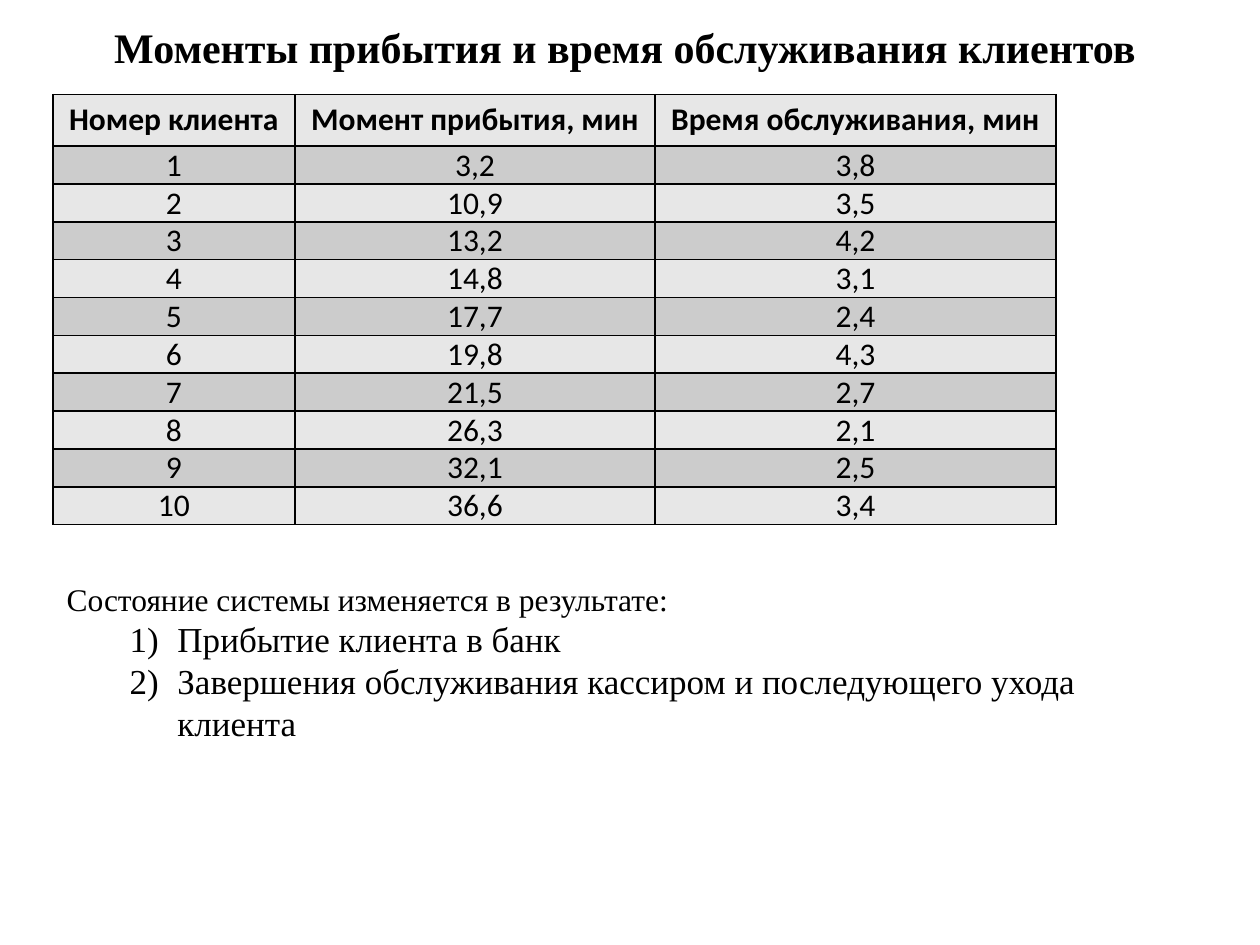
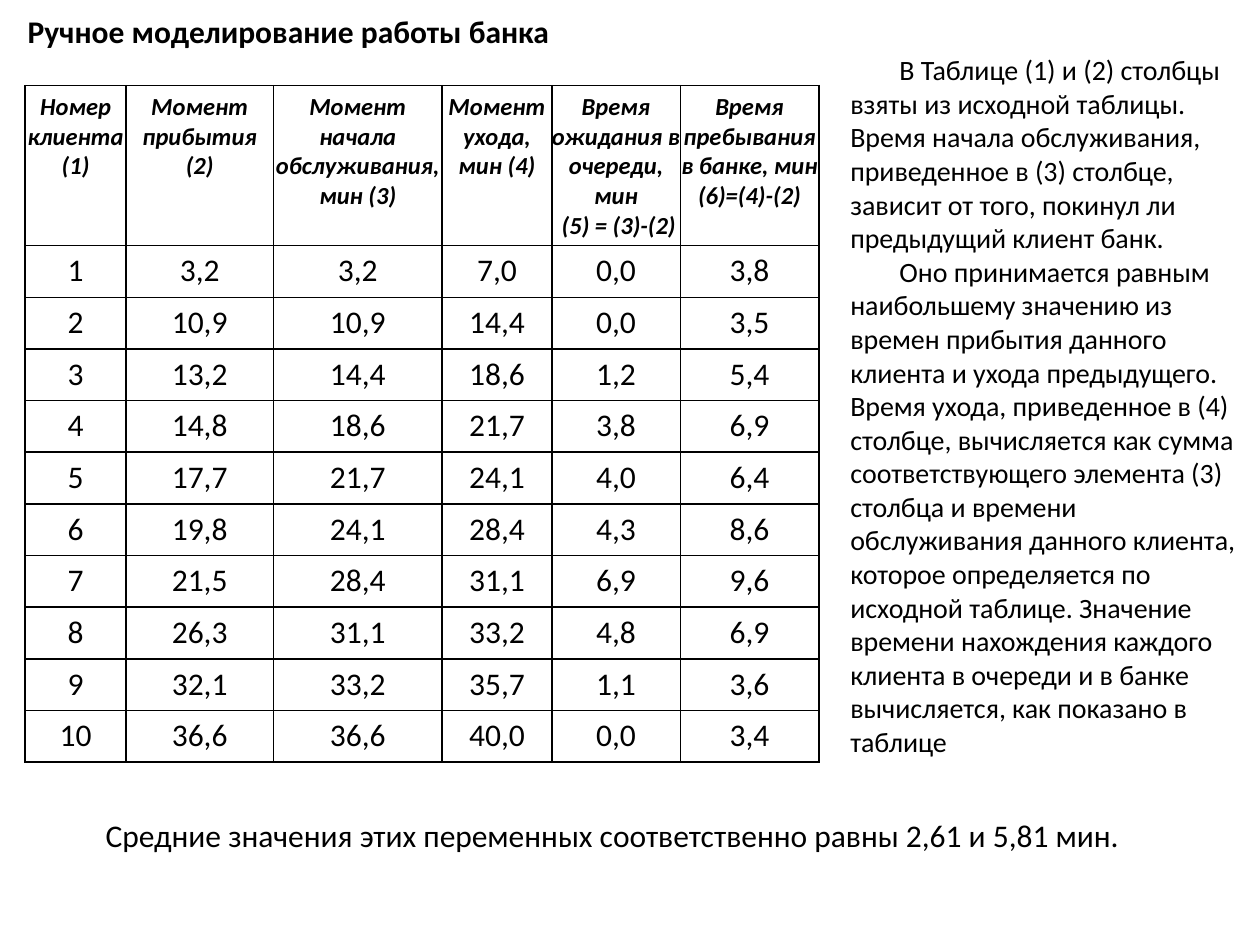
from lxml.etree import SubElement
from pptx import Presentation
from pptx.dml.color import RGBColor
from pptx.enum.text import MSO_AUTO_SIZE, PP_ALIGN
from pptx.oxml.ns import qn
from pptx.util import Inches, Pt

BLACK = RGBColor(0x00, 0x00, 0x00)
LIGHT = RGBColor(0xE7, 0xE7, 0xE7)
DARK = RGBColor(0xCC, 0xCC, 0xCC)
SERIF, SANS = "Times New Roman", "Calibri"
FIRST_LINE = 0.39

ARRIVALS = [3.2, 10.9, 13.2, 14.8, 17.7, 19.8, 21.5, 26.3, 32.1, 36.6]
SERVICES = [3.8, 3.5, 4.2, 3.1, 2.4, 4.3, 2.7, 2.1, 2.5, 3.4]

SOURCE_HEADER = ["Номер клиента", "Момент прибытия, мин", "Время обслуживания, мин"]
MODEL_HEADER = [
    "Номер клиента\n(1)",
    "Момент прибытия (2)",
    "Момент начала обслуживания, мин (3)",
    "Момент ухода, мин (4)",
    "Время ожидания в очереди, мин\v (5) = (3)-(2)",
    "Время пребывания в банке, мин (6)=(4)-(2)",
]
EVENTS = [
    "Прибытие клиента в банк",
    "Завершения обслуживания кассиром и последующего ухода клиента",
]
EXPLANATION = [
    "В Таблице (1) и (2) столбцы взяты из исходной таблицы. Время начала обслуживания, "
    "приведенное в (3) столбце, зависит от того, покинул ли предыдущий клиент банк.",
    "Оно принимается равным наибольшему значению из времен прибытия данного клиента и ухода "
    "предыдущего. Время ухода, приведенное в (4) столбце, вычисляется как сумма "
    "соответствующего элемента (3) столбца и времени обслуживания данного клиента, которое "
    "определяется по исходной таблице. Значение времени нахождения каждого клиента в очереди "
    "и в банке вычисляется, как показано в таблице",
]


def decimal_comma(value):
    return f"{value:.1f}".replace(".", ",")


def numbered(rows):
    return [[str(n), *map(decimal_comma, row)] for n, row in enumerate(rows, 1)]


def simulate_queue():
    """Rows of arrival, start, departure, wait and stay for each client."""
    rows, departure = [], 0
    for arrival, service in zip(ARRIVALS, SERVICES):
        start = max(arrival, departure)
        departure = start + service
        rows.append([arrival, start, departure, start - arrival, departure - arrival])
    return rows


def style(p, font, size, bold=False, italic=False, align=PP_ALIGN.LEFT):
    p.alignment = align
    f = p.font
    f.name, f.size, f.bold, f.italic = font, Pt(size), bold, italic
    f.color.rgb = BLACK


def indent(p, first, left=0):
    pPr = p._p.get_or_add_pPr()
    pPr.set("marL", str(Inches(left)))
    pPr.set("indent", str(Inches(first)))


def number(p):
    p.level = 1
    indent(p, -0.38, 0.88)
    bullet = p._p.get_or_add_pPr().makeelement(qn("a:buAutoNum"), {"type": "arabicParenR"})
    p._p.pPr.insert(0, bullet)


def add_text(slide, box, lines, font, size, wrap=True, **look):
    """Text box with one paragraph per line; returns the paragraphs."""
    tf = slide.shapes.add_textbox(*map(Inches, box)).text_frame
    tf.word_wrap = wrap
    tf.auto_size = MSO_AUTO_SIZE.SHAPE_TO_FIT_TEXT
    tf.text = "\n".join(lines)
    for p in tf.paragraphs:
        style(p, font, size, **look)
    return tf.paragraphs


def add_borders(cell):
    tcPr = cell._tc.get_or_add_tcPr()
    for side in ("lnL", "lnR", "lnT", "lnB"):
        ln = SubElement(tcPr, qn(f"a:{side}"), w=str(Pt(1)))
        fill = SubElement(ln, qn("a:solidFill"))
        SubElement(fill, qn("a:srgbClr"), val=str(BLACK))


def set_margins(cell, side, top):
    cell.margin_left = cell.margin_right = Inches(side)
    cell.margin_top = cell.margin_bottom = Inches(top)


def add_grid(slide, left, top, widths, header, rows, heights, margins, header_look, bands=()):
    """Bordered table; heights and margins are pairs for the header and the body."""
    values = [header] + rows
    row_heights = [heights[0]] + [heights[1]] * len(rows)
    table = slide.shapes.add_table(
        len(values), len(widths), Inches(left), Inches(top),
        Inches(sum(widths)), Inches(sum(row_heights))).table
    table.first_row = table.horz_banding = False
    for column, width in zip(table.columns, widths):
        column.width = Inches(width)
    for i, (row, height) in enumerate(zip(values, row_heights)):
        table.rows[i].height = Inches(height)
        look = header_look if i == 0 else {"size": 18}
        for cell, text in zip(table.rows[i].cells, row):
            cell.text_frame.text = text
            for p in cell.text_frame.paragraphs:
                style(p, SANS, align=PP_ALIGN.CENTER, **look)
            set_margins(cell, *margins[min(i, 1)])
            add_borders(cell)
            if bands:
                cell.fill.solid()
                cell.fill.fore_color.rgb = bands[i % len(bands)]
            else:
                cell.fill.background()


def source_data_slide(slide):
    add_text(slide, (0.67, 0.12, 8.58, 0.5),
             ["Моменты прибытия и время обслуживания клиентов"],
             SERIF, 24, bold=True, align=PP_ALIGN.CENTER)
    add_grid(slide, 0.42, 0.75, [1.92, 2.86, 3.18], SOURCE_HEADER,
             numbered(zip(ARRIVALS, SERVICES)), heights=(0.41, 0.3),
             margins=((0.1, 0.05), (0, 0)),
             header_look={"size": 18, "bold": True}, bands=(LIGHT, DARK))
    intro, *events = add_text(slide, (0.43, 4.55, 9.21, 1.08),
                              ["Состояние системы изменяется в результате:", *EVENTS],
                              SERIF, 20)
    intro.font.size = Pt(18)
    for p in events:
        number(p)


def simulation_slide(slide):
    add_text(slide, (0.12, 0.05, 4.38, 0.4), ["Ручное моделирование работы банка"],
             SANS, 18, wrap=False, bold=True)
    explanation = add_text(slide, (6.65, 0.37, 3.29, 5.76), EXPLANATION, SANS, 16)
    add_grid(slide, 0.2, 0.68, [0.8, 1.17, 1.34, 0.87, 1.02, 1.1], MODEL_HEADER,
             numbered(simulate_queue()), heights=(1.27, 0.41),
             margins=((0, 0.05), (0, 0.05)),
             header_look={"size": 14, "bold": True, "italic": True})
    averages = add_text(
        slide, (0.35, 6.43, 8.9, 0.4),
        ["Средние значения этих переменных соответственно равны 2,61 и 5,81 мин."], SANS, 18)
    for p in (*explanation, *averages):
        indent(p, FIRST_LINE)


def main():
    prs = Presentation()
    prs.slide_width, prs.slide_height = Inches(10), Inches(7.5)
    for build in (source_data_slide, simulation_slide):
        build(prs.slides.add_slide(prs.slide_layouts[6]))
    prs.save("out.pptx")


if __name__ == "__main__":
    main()
